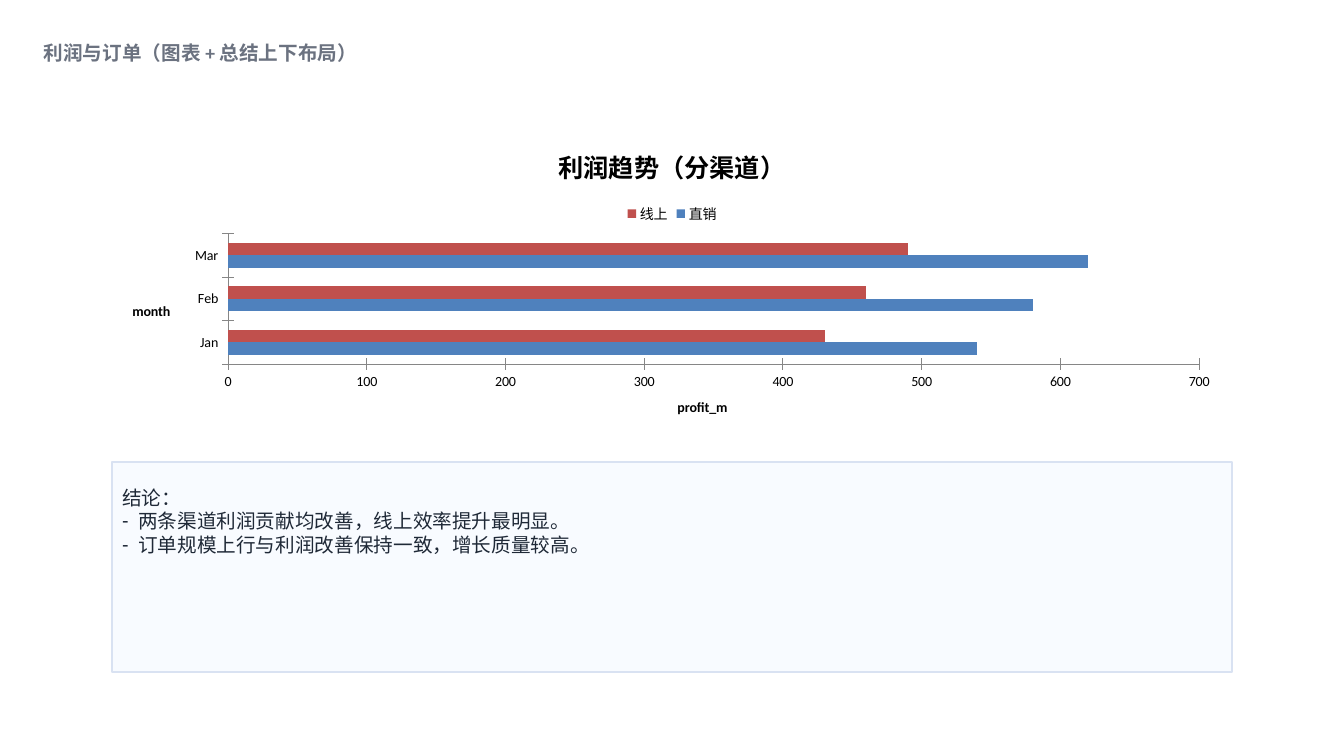
from dataclasses import dataclass

from lxml import etree
from pptx import Presentation
from pptx.chart import data as chart_data
from pptx.dml.color import RGBColor
from pptx.enum import chart as chart_enum, text as text_enum
from pptx.oxml import ns
from pptx.util import Pt

FONT = "Calibri"
BLACK = "000000"
BULLET_INDENT = 11.5


@dataclass
class Box:
    left: float
    top: float
    width: float
    height: float

    def lengths(self) -> list:
        return [Pt(n) for n in (self.left, self.top, self.width, self.height)]


@dataclass
class Series:
    name: str
    values: tuple
    color: str


@dataclass
class Axis:
    title: str
    axis: object


TITLE_BOX = Box(24, 12, 860, 40)
CHART_BOX = Box(80, 92, 800, 220)
SUMMARY_BOX = Box(80, 330, 800, 150)

MONTHS = ("Jan", "Feb", "Mar")
CHANNELS = (
    Series("直销", (540, 580, 620), "4F81BD"),
    Series("线上", (430, 460, 490), "C0504D"),
)
SUMMARY_HEADING = "结论："
SUMMARY_POINTS = (
    "两条渠道利润贡献均改善，线上效率提升最明显。",
    "订单规模上行与利润改善保持一致，增长质量较高。",
)


def rgb(color: str) -> RGBColor:
    return RGBColor.from_string(color)


def format_font(font, size: float, color: str, bold: bool = False) -> None:
    font.name = FONT
    font.size = Pt(size)
    font.bold = bold
    font.color.rgb = rgb(color)


def place(shape, box: Box) -> None:
    shape.left, shape.top, shape.width, shape.height = box.lengths()
    frame = shape.text_frame
    frame.word_wrap = True
    frame.auto_size = text_enum.MSO_AUTO_SIZE.NONE
    frame.vertical_anchor = text_enum.MSO_ANCHOR.TOP
    frame.margin_top = Pt(17)


def set_bullet(paragraph, character: str = "") -> None:
    """Give the paragraph a hanging bullet, or none when no character is given."""
    properties = paragraph._p.get_or_add_pPr()
    indent = Pt(BULLET_INDENT) if character else 0
    properties.set("marL", str(indent))
    properties.set("indent", str(-indent))
    tag = "a:buChar" if character else "a:buNone"
    bullet = etree.SubElement(properties, ns.qn(tag))
    if character:
        bullet.set("char", character)


def add_title(slide) -> None:
    title = slide.shapes.title
    place(title, TITLE_BOX)
    title.text_frame.text = "利润与订单（图表 + 总结上下布局）"
    paragraph = title.text_frame.paragraphs[0]
    paragraph.alignment = text_enum.PP_ALIGN.LEFT
    format_font(paragraph.runs[0].font, 14, "6B7280", bold=True)


def add_summary(slide) -> None:
    summary = slide.placeholders[1]
    place(summary, SUMMARY_BOX)
    summary.fill.solid()
    summary.fill.fore_color.rgb = rgb("F8FBFF")
    summary.line.color.rgb = rgb("D9E2F2")
    summary.line.width = Pt(1)
    frame = summary.text_frame
    frame.text = "\n".join((SUMMARY_HEADING, *SUMMARY_POINTS))
    for index, paragraph in enumerate(frame.paragraphs):
        paragraph.space_before = Pt(0)
        set_bullet(paragraph, "-" if index else "")
        format_font(paragraph.runs[0].font, 14, "1F2937")


def format_axis(axis, title: str) -> None:
    axis.has_major_gridlines = False
    axis.major_tick_mark = chart_enum.XL_TICK_MARK.CROSS
    axis.minor_tick_mark = chart_enum.XL_TICK_MARK.NONE
    axis.format.line.color.rgb = rgb("868686")
    axis.format.line.width = Pt(0.75)
    frame = axis.axis_title.text_frame
    frame.text = title
    frame._txBody.bodyPr.set("rot", "0")
    format_font(frame.paragraphs[0].runs[0].font, 10, BLACK, bold=True)


def add_profit_chart(slide) -> None:
    data = chart_data.CategoryChartData()
    data.categories = MONTHS
    for channel in CHANNELS:
        data.add_series(channel.name, channel.values)
    chart = slide.shapes.add_chart(
        chart_enum.XL_CHART_TYPE.BAR_CLUSTERED, *CHART_BOX.lengths(), data
    ).chart
    format_font(chart.font, 10, BLACK)

    chart.has_title = True
    title = chart.chart_title.text_frame
    title.text = "利润趋势（分渠道）"
    format_font(title.paragraphs[0].runs[0].font, 18, BLACK, bold=True)

    chart.has_legend = True
    chart.legend.position = chart_enum.XL_LEGEND_POSITION.TOP
    chart.legend.include_in_layout = False

    format_axis(chart.category_axis, "month")
    format_axis(chart.value_axis, "profit_m")
    chart.value_axis.minimum_scale = 0
    chart.value_axis.maximum_scale = 700
    chart.value_axis.major_unit = 100

    plot = chart.plots[0]
    plot.vary_by_categories = False
    plot.gap_width = 150
    for series, channel in zip(plot.series, CHANNELS):
        series.format.fill.solid()
        series.format.fill.fore_color.rgb = rgb(channel.color)


def main() -> None:
    presentation = Presentation()
    presentation.slide_width, presentation.slide_height = Pt(960), Pt(540)
    slide = presentation.slides.add_slide(presentation.slide_layouts[1])
    slide.background.fill.solid()
    slide.background.fill.fore_color.rgb = rgb("FFFFFF")
    add_title(slide)
    add_profit_chart(slide)
    add_summary(slide)
    presentation.save("out.pptx")


if __name__ == "__main__":
    main()
